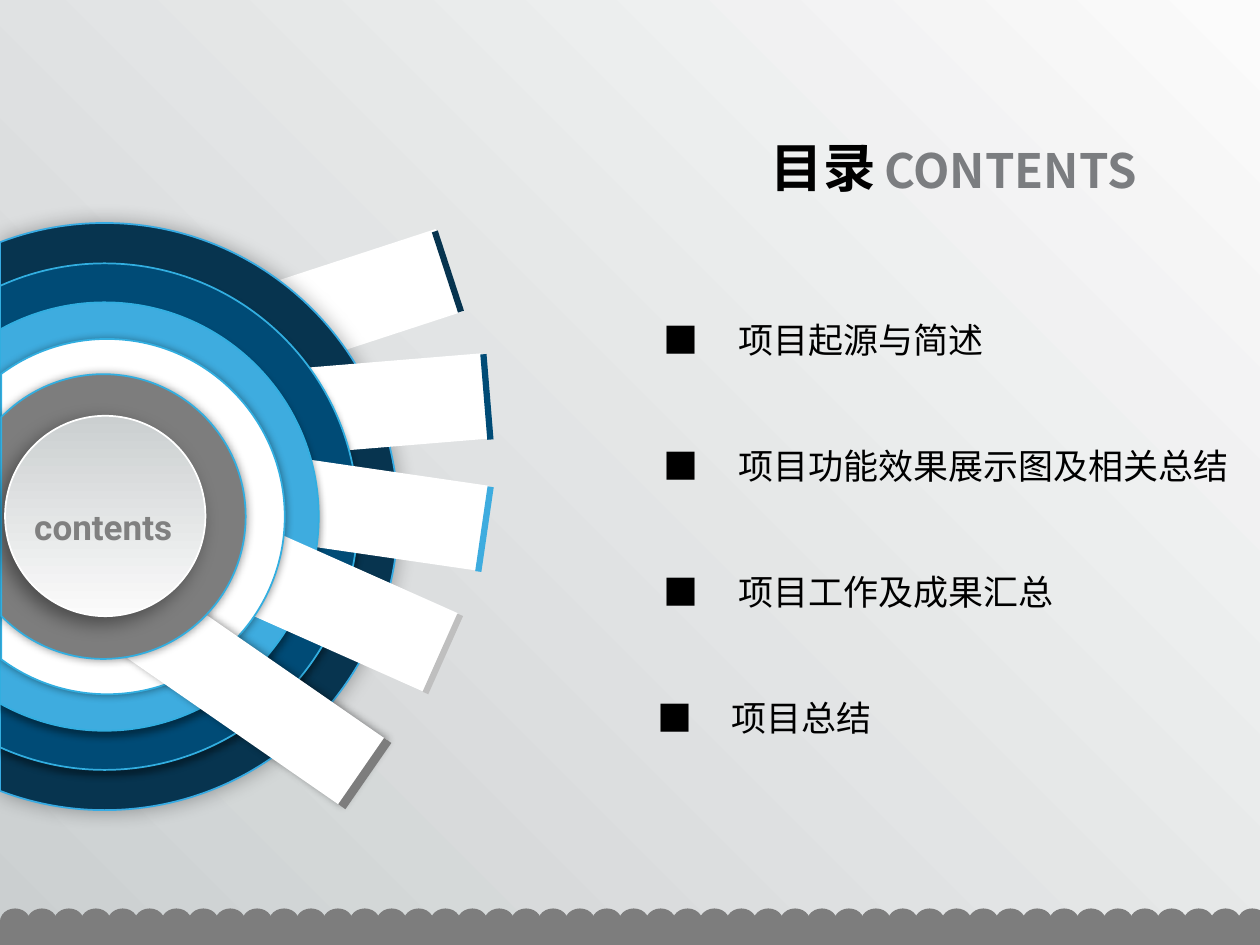
from math import acos, ceil, cos, floor, pi, sin, tan

from lxml.etree import SubElement
from pptx import Presentation
from pptx.dml.color import RGBColor
from pptx.enum.shapes import MSO_SHAPE as Preset
from pptx.enum.text import MSO_ANCHOR as Anchor, PP_ALIGN as Align
from pptx.oxml.ns import qn
from pptx.util import Inches, Pt

COLORS = {
    "black": "000000", "white": "FFFFFF", "gray": "7D7D7D", "label": "808080",
    "title_gray": "7B7D80", "silver": "BFBFBF", "light": "FBFBFB", "dim": "CBCFD0",
    "navy": "07344F", "blue": "004B76", "sky": "3EACDF",
    "outline": "32AEE0", "outer_outline": "37ABE3",
}
CJK_FONT = "Noto Sans CJK SC"


class ContentsSlide:
    """Hold the style and the current slide, and draw each kind of element."""

    def __init__(self, presentation):
        self.slide = presentation.slides.add_slide(presentation.slide_layouts[6])
        self.shapes = self.slide.shapes

    def color(self, name):
        return RGBColor.from_string(COLORS[name])

    def gradient(self, fill, angle):
        fill.gradient()
        fill.gradient_angle = angle
        for stop, name in zip(fill.gradient_stops, ("light", "dim")):
            stop.color.rgb = self.color(name)

    def style(self, shape, fill=None, line=None, shadow=None):
        if fill:
            shape.fill.solid()
            shape.fill.fore_color.rgb = self.color(fill)
        if line:
            shape.line.color.rgb = self.color(line)
            shape.line.width = Pt(1)
        else:
            shape.line.fill.background()
        shape.shadow.inherit = False
        if shadow:
            alpha, blur, distance, direction = shadow
            effects = shape._element.spPr.find(qn("a:effectLst"))
            outer = SubElement(effects, qn("a:outerShdw"), blurRad=str(Pt(blur)),
                               dist=str(Pt(distance)), dir=str(direction * 60000),
                               algn="ctr", rotWithShape="0")
            tone = SubElement(outer, qn("a:srgbClr"), val=COLORS["black"])
            SubElement(tone, qn("a:alpha"), val=str(alpha * 1000))
        return shape

    def preset(self, kind, box, fill=None, line=None, shadow=None, rotation=0):
        shape = self.shapes.add_shape(kind, *map(Inches, box))
        shape.rotation = rotation
        return self.style(shape, fill, line, shadow)

    def cut_ellipse(self, center, radii, start, end, fill, line=None, shadow=None):
        def point(angle, pull=0):
            across = cos(angle) - pull * sin(angle)
            down = sin(angle) + pull * cos(angle)
            return (Inches(center[0] + radii[0] * across), Inches(center[1] + radii[1] * down))

        quarter = pi / 2
        inner = range(floor(start / quarter) + 1, ceil(end / quarter))
        angles = [start, *(turn * quarter for turn in inner), end]
        points = []
        for first, last in zip(angles, angles[1:]):
            pull = 4 / 3 * tan((last - first) / 4)
            points += [point(first, pull), point(last, -pull), point(last)]
        builder = self.shapes.build_freeform(*point(start))
        builder.add_line_segments(points, close=True)
        shape = builder.convert_to_shape()
        outline = next(shape._element.iter(qn("a:path")))
        segments = outline.findall(qn("a:lnTo"))
        for index in range(0, len(segments), 3):
            curve = SubElement(outline, qn("a:cubicBezTo"))
            segments[index].addprevious(curve)
            for segment in segments[index:index + 3]:
                curve.append(segment[0])
                outline.remove(segment)
        return self.style(shape, fill, line, shadow)

    def text(self, words, box, size, color, font=CJK_FONT, bold=False,
             align=Align.LEFT, wrap=False, tab=None):
        frame = self.shapes.add_textbox(*map(Inches, box)).text_frame
        frame.word_wrap = wrap
        frame.vertical_anchor = Anchor.TOP
        paragraph = frame.paragraphs[0]
        paragraph.text = words
        paragraph.alignment = align
        properties = paragraph._p.get_or_add_pPr()
        if tab:
            tabs = SubElement(properties, qn("a:tabLst"))
            SubElement(tabs, qn("a:tab"), pos=str(Inches(tab)), algn="l")
        paragraph.font.size = Pt(size)
        paragraph.font.bold = bold
        paragraph.font.color.rgb = self.color(color)
        paragraph.font.name = font
        SubElement(properties.find(qn("a:defRPr")), qn("a:ea"), typeface=font)


def draw_footer(page):
    page.preset(Preset.RECTANGLE, (0, 7.31, 10, 0.22), "gray")
    count = 46
    pitch = 9.82 / count
    for index in range(count):
        page.preset(Preset.OVAL, (index * pitch, 7.21, 0.24, 0.21), "gray")
    page.cut_ellipse((9.94, 7.315), (0.12, 0.105), pi / 3, 5 * pi / 3, "gray")


def draw_dial(page):
    low, soft = (40, 4, 3, 90), (40, 5, 0, 0)
    layers = [
        (341.9, (1.37, 2.15, 2.25, 0.69), (3.53, 1.82, 0.05, 0.67), "navy", None,
         0.83, 2.33, 0, "navy", "outer_outline", (33, 12, 0, 0)),
        (355.3, (1.74, 2.89, 2.11, 0.68), (3.84, 2.81, 0.05, 0.68), "blue", None,
         0.83, 2.01, 0, "blue", "outline", low),
        (8.3, (1.73, 3.7, 2.11, 0.68), (3.82, 3.86, 0.05, 0.68), "sky", None,
         0.83, 1.7, 0, "sky", "outline", low),
        (24, (1.48, 4.41, 2.11, 0.68), (3.49, 4.85, 0.05, 0.68), "silver", None,
         0.85, 1.41, 0.01, "white", "outline", soft),
        (34.7, (0.6, 5.1, 2.51, 0.64), (2.86, 5.82, 0.07, 0.64), "gray", (40, 5, 1, 0),
         0.82, 1.13, 0.01, "gray", "outline", soft),
    ]
    for (rotation, bar, cap, cap_color, bar_shadow,
         center, radius, left, fill, line, shadow) in layers:
        page.preset(Preset.RECTANGLE, bar, "white", shadow=bar_shadow, rotation=rotation)
        page.preset(Preset.RECTANGLE, cap, cap_color, rotation=rotation)
        limit = acos((left - center) / radius)
        page.cut_ellipse((center, 4.1), (radius, radius), -limit, limit, fill, line, shadow)

    hub = page.preset(Preset.OVAL, (0.04, 3.3, 1.59, 1.59), line="white",
                      shadow=(40, 11, 5, 135))
    page.gradient(hub.fill, 90)
    page.text("contents", (0.07, 3.96, 1.5, 0.44), 20, "label", "Roboto", True, Align.CENTER)


def main():
    presentation = Presentation()
    presentation.slide_width, presentation.slide_height = Inches(10), Inches(7.5)
    page = ContentsSlide(presentation)
    page.gradient(page.slide.background.fill, 225)

    page.text("目录", (6.02, 1.02, 1.04, 0.61), 30, "black", bold=True)
    page.text("CONTENTS", (6.92, 1.07, 2.32, 0.56), 27, "title_gray", bold=True)
    draw_footer(page)
    draw_dial(page)

    topics = [("项目起源与简述", 5.17, 5.05), ("项目功能效果展示图及相关总结", 5.17, 7.65),
              ("项目工作及成果汇总", 5.17, 5.63), ("项目总结", 5.12, 5.73)]
    for row, (topic, left, width) in enumerate(topics):
        page.text(f"■\t{topic}", (left, 2.48 + row, width, 0.44), 20, "black",
                  wrap=True, tab=0.59)
    presentation.save("out.pptx")


if __name__ == "__main__":
    main()
